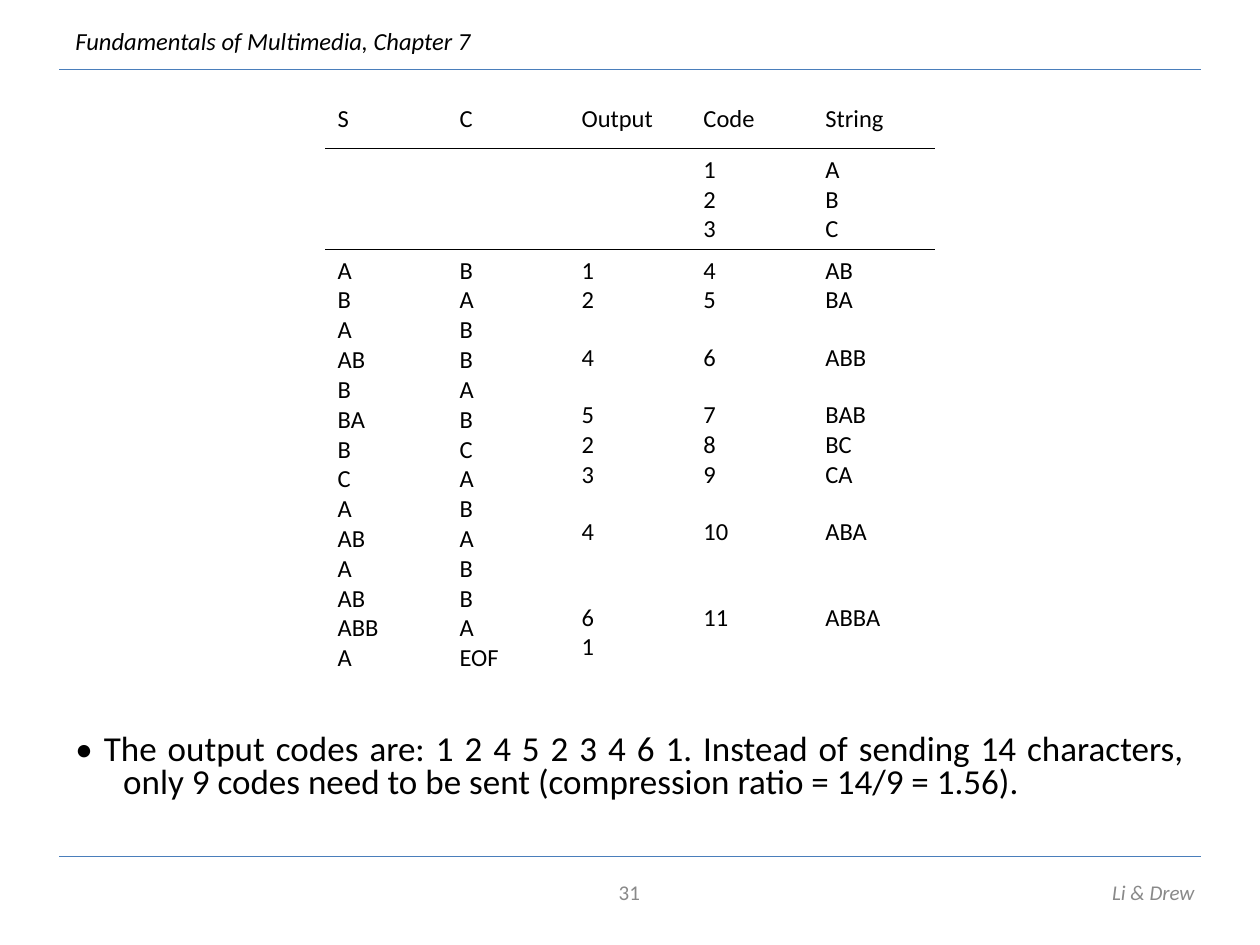
from dataclasses import dataclass
from typing import NamedTuple, Optional, Sequence

from lxml.etree import SubElement
from pptx import Presentation
from pptx.dml.color import RGBColor
from pptx.enum.shapes import MSO_CONNECTOR
from pptx.enum.text import MSO_ANCHOR, PP_ALIGN
from pptx.oxml import parse_xml
from pptx.oxml.ns import nsdecls, qn
from pptx.util import Inches, Pt

BLACK = RGBColor(0x00, 0x00, 0x00)
GRAY = RGBColor(0x89, 0x89, 0x89)
BLUE = RGBColor(0x4A, 0x7E, 0xBB)
FONT = "Calibri"
PLAIN_TABLE_STYLE = "{2D5ABB26-0587-4C30-8999-92F81FD0307C}"

SLIDE_WIDTH, SLIDE_HEIGHT = Inches(10), Inches(7.5)
GRID_COLUMNS = 100
CELL = SLIDE_WIDTH / GRID_COLUMNS
SKIPPED_ROW = 15.8


class Area(NamedTuple):
    left: float
    top: float
    width: float
    height: float


@dataclass(frozen=True)
class Label:
    text: str
    area: Area
    size: float = 12
    color: RGBColor = BLACK
    italic: bool = False
    align: PP_ALIGN = PP_ALIGN.LEFT
    anchor: MSO_ANCHOR = MSO_ANCHOR.TOP
    wrap: bool = True
    hanging: float = 0
    line_spacing: Optional[float] = None


class Step(NamedTuple):
    s: str
    c: str
    output: str = ""
    code: str = ""
    string: str = ""


HEADINGS = Step("S", "C", "Output", "Code", "String")
INITIAL_DICTIONARY = [
    Step("", "", "", "1", "A"),
    Step("", "", "", "2", "B"),
    Step("", "", "", "3", "C"),
]
ENCODING = [
    Step("A", "B", "1", "4", "AB"),
    Step("B", "A", "2", "5", "BA"),
    Step("A", "B"),
    Step("AB", "B", "4", "6", "ABB"),
    Step("B", "A"),
    Step("BA", "B", "5", "7", "BAB"),
    Step("B", "C", "2", "8", "BC"),
    Step("C", "A", "3", "9", "CA"),
    Step("A", "B"),
    Step("AB", "A", "4", "10", "ABA"),
    Step("A", "B"),
    Step("AB", "B"),
    Step("ABB", "A", "6", "11", "ABBA"),
    Step("A", "EOF", "1"),
]
SECTIONS = [[HEADINGS], INITIAL_DICTIONARY, ENCODING]
SECTION_HEIGHTS = [4, 8, 33.7]
TABLE_AREA = Area(25.8, 7.8, 48.4, sum(SECTION_HEIGHTS))

RULE_LEFT, RULE_RIGHT = 4.7, 95.3
RULE_ROWS = [5.5, 68]

LABELS = [
    Label("Fundamentals of Multimedia, Chapter 7", Area(5, 1.6, 33.5, 3.4),
          size=14, italic=True, wrap=False),
    Label("• The output codes are: 1 2 4 5 2 3 4 6 1. Instead of sending 14 "
          "characters, only 9 codes need to be sent (compression ratio = "
          "14/9 = 1.56).", Area(5, 57.8, 90, 7.8),
          size=20, align=PP_ALIGN.JUSTIFY, hanging=3.8, line_spacing=0.8),
    Label("Li & Drew", Area(64.1, 68.8, 31.7, 4), color=GRAY, italic=True,
          align=PP_ALIGN.RIGHT, anchor=MSO_ANCHOR.MIDDLE),
    Label("31", Area(38.3, 68.8, 23.3, 4), color=GRAY,
          align=PP_ALIGN.CENTER, anchor=MSO_ANCHOR.MIDDLE),
]


def grid(cells: float) -> int:
    return round(cells * CELL)


def write(paragraph, text: str, *, size: float, color: RGBColor = BLACK,
          italic: bool = False, align: PP_ALIGN = PP_ALIGN.LEFT,
          space_before: float = 0, hanging: float = 0,
          line_spacing: Optional[float] = None) -> None:
    paragraph.alignment = align
    if space_before:
        paragraph.space_before = Pt(space_before)
    if line_spacing:
        paragraph.line_spacing = line_spacing
    if hanging:
        properties = paragraph._p.get_or_add_pPr()
        properties.set("marL", str(grid(hanging)))
        properties.set("indent", str(-grid(hanging)))
    run = paragraph.add_run()
    run.text = text
    run.font.name = FONT
    run.font.size = Pt(size)
    run.font.italic = italic
    run.font.color.rgb = color


def draw_label(slide, label: Label) -> None:
    frame = slide.shapes.add_textbox(*map(grid, label.area)).text_frame
    frame.word_wrap = label.wrap
    frame.vertical_anchor = label.anchor
    write(frame.paragraphs[0], label.text, size=label.size, color=label.color,
          italic=label.italic, align=label.align, hanging=label.hanging,
          line_spacing=label.line_spacing)


def draw_rule(slide, row: float) -> None:
    rule = slide.shapes.add_connector(
        MSO_CONNECTOR.STRAIGHT, grid(RULE_RIGHT), grid(row),
        grid(RULE_LEFT), grid(row))
    rule.line.color.rgb = BLUE
    rule.line.width = Pt(0.75)
    SubElement(rule._element.spPr, qn("a:effectLst"))


def add_borders(cell, sides: Sequence[str]) -> None:
    properties = cell._tc.get_or_add_tcPr()
    for position, side in enumerate(sides):
        properties.insert(position, parse_xml(
            f'<a:{side} {nsdecls("a")} w="{Pt(0.45)}"><a:solidFill>'
            f'<a:srgbClr val="{BLACK}"/></a:solidFill></a:{side}>'))


def fill_cell(cell, entries: Sequence[str]) -> None:
    cell.fill.background()
    frame = cell.text_frame
    skipped = 0
    started = False
    for entry in entries:
        if not entry:
            skipped += 1
            continue
        paragraph = frame.add_paragraph() if started else frame.paragraphs[0]
        write(paragraph, entry, size=14,
              space_before=skipped * SKIPPED_ROW if started else 0)
        skipped = 0
        started = True


def draw_encoding_table(slide) -> None:
    table = slide.shapes.add_table(
        len(SECTIONS), len(HEADINGS), *map(grid, TABLE_AREA)).table
    table.first_row = table.horz_banding = False
    table._tbl.tblPr.find(qn("a:tableStyleId")).text = PLAIN_TABLE_STYLE
    for column in table.columns:
        column.width = grid(TABLE_AREA.width / len(HEADINGS))
    last = len(SECTIONS) - 1
    for index, (steps, height) in enumerate(zip(SECTIONS, SECTION_HEIGHTS)):
        table.rows[index].height = grid(height)
        sides = ["lnT"] * (index > 0) + ["lnB"] * (index < last)
        for column, entries in enumerate(zip(*steps)):
            cell = table.cell(index, column)
            fill_cell(cell, entries)
            add_borders(cell, sides)


def main() -> None:
    presentation = Presentation()
    presentation.slide_width = SLIDE_WIDTH
    presentation.slide_height = SLIDE_HEIGHT
    slide = presentation.slides.add_slide(presentation.slide_layouts[6])
    for row in RULE_ROWS:
        draw_rule(slide, row)
    for label in LABELS:
        draw_label(slide, label)
    draw_encoding_table(slide)
    presentation.save("out.pptx")


if __name__ == "__main__":
    main()
